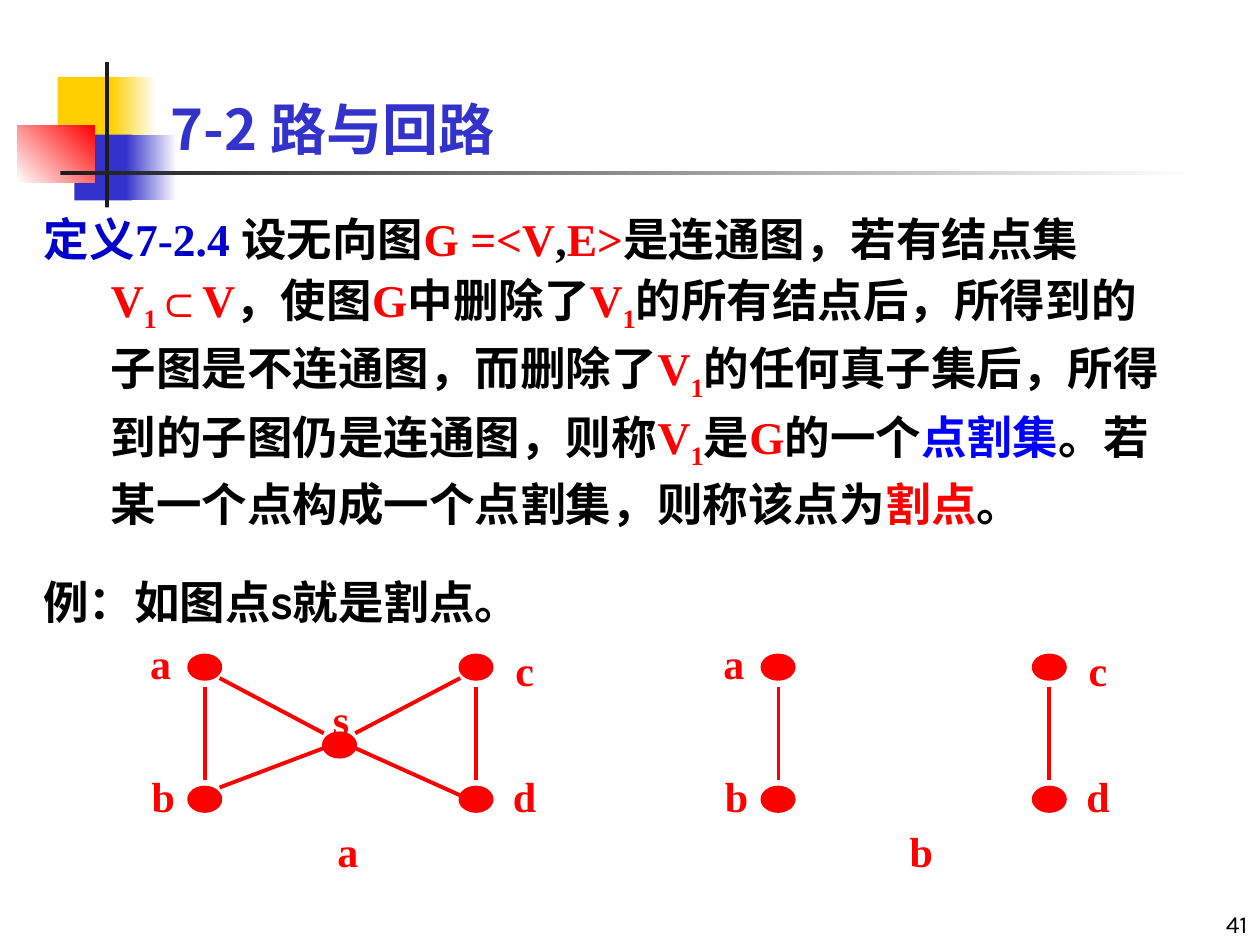
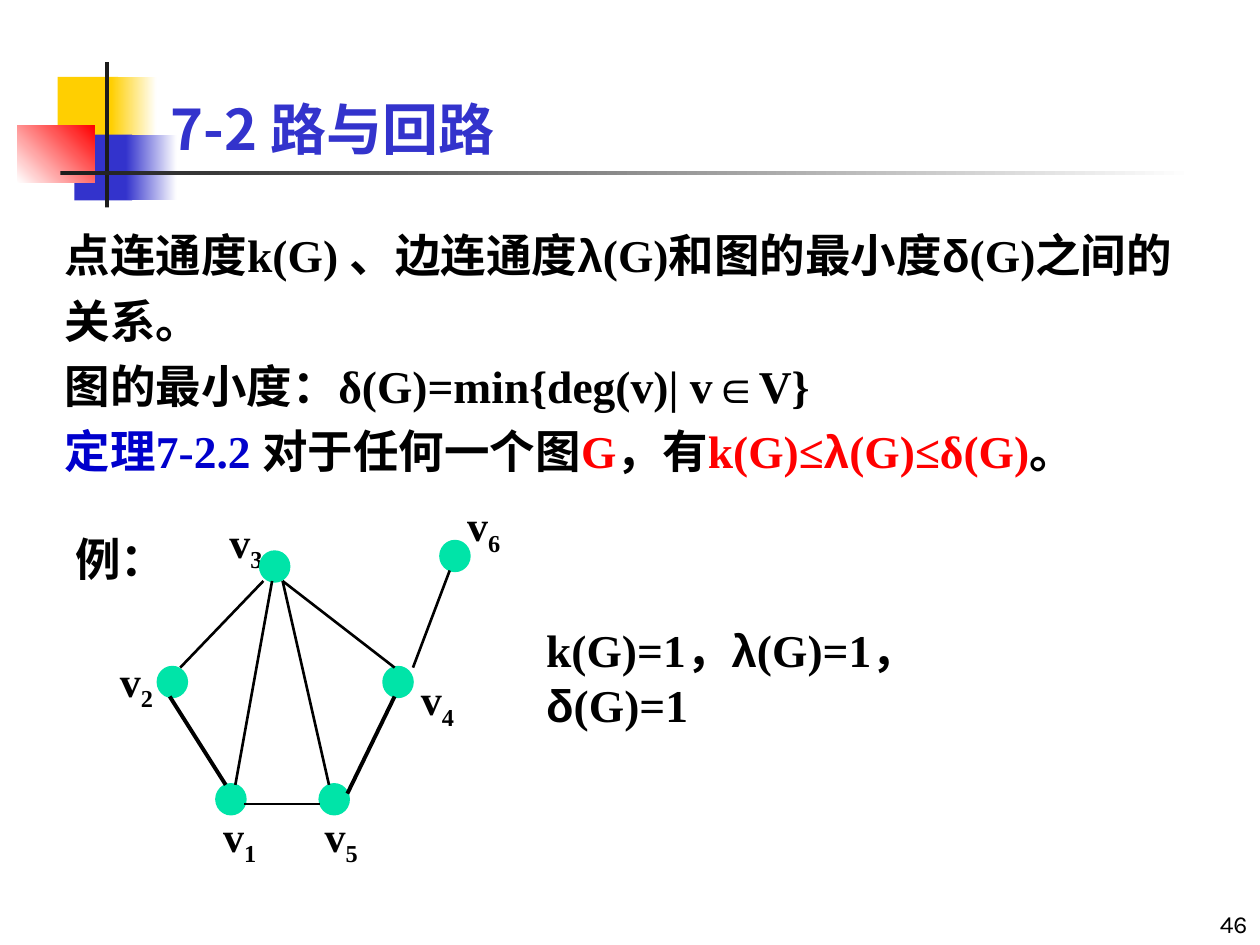
from dataclasses import dataclass
from typing import Optional

from lxml.etree import SubElement
from pptx import Presentation
from pptx.dml.color import RGBColor
from pptx.enum.shapes import MSO_CONNECTOR, MSO_SHAPE
from pptx.enum.text import MSO_ANCHOR as Anchor, PP_ALIGN as Align
from pptx.oxml.ns import qn
from pptx.util import Pt

# Colours
YELLOW = RGBColor(0xFF, 0xCF, 0x01)
BLUE = RGBColor(0x33, 0x33, 0xCC)
RED = RGBColor(0xFF, 0x00, 0x00)
WHITE = RGBColor(0xFF, 0xFF, 0xFF)
CHARCOAL = RGBColor(0x1C, 0x1C, 0x1C)
BLACK = RGBColor(0x00, 0x00, 0x00)
HEADING_BLUE = RGBColor(0x00, 0x00, 0xCC)
TERM_BLUE = RGBColor(0x00, 0x00, 0xFF)
GREEN = RGBColor(0x00, 0xE4, 0xA8)

# Fonts
SERIF = "Times New Roman"
SYMBOL = "Arial"
CHINESE = "Noto Sans CJK SC"
KARLA = "Karla"
QUICKSAND = "Quicksand"


@dataclass
class Part:
    """A stretch of text and what sets it apart from its paragraph."""
    text: str
    color: Optional[RGBColor] = None
    font: Optional[str] = None
    sub: bool = False


V1 = [Part("V", RED), Part("1", RED, sub=True)]
LAMBDA = Part("λ", font=SYMBOL)
DELTA = Part("δ", font=SYMBOL)


# Text
def write_paragraph(paragraph, parts, size, font, color, bold, align, spacing):
    paragraph.alignment = align
    if spacing:
        paragraph.line_spacing = spacing
    base = paragraph.font
    base.size, base.bold, base.name = Pt(size), bold, font
    base.color.rgb = color
    SubElement(base._rPr, qn("a:ea")).set("typeface", CHINESE)
    for part in parts:
        run = paragraph.add_run()
        run.text = part.text
        if part.color is not None:
            run.font.color.rgb = part.color
        if part.font:
            run.font.name = part.font
        if part.sub:
            run.font._rPr.set("baseline", "-25000")


def add_text(slide, box, paragraphs, size=26, font=SERIF, color=BLACK, bold=True,
             align=Align.LEFT, anchor=Anchor.TOP, spacing=None, wrap=True):
    """Place text; paragraphs is one string or a list of lists of parts."""
    if isinstance(paragraphs, str):
        paragraphs = [[Part(paragraphs)]]
    frame = slide.shapes.add_textbox(*map(Pt, box)).text_frame
    frame.word_wrap = wrap
    frame.vertical_anchor = anchor
    for index, parts in enumerate(paragraphs):
        paragraph = frame.add_paragraph() if index else frame.paragraphs[0]
        write_paragraph(paragraph, parts, size, font, color, bold, align, spacing)
    return frame


# Shapes
def add_block(slide, box, start, end=None, angle=0):
    """Draw a rectangle, plain or fading from start to end."""
    block = slide.shapes.add_shape(MSO_SHAPE.RECTANGLE, *map(Pt, box))
    block.shadow.inherit = False
    block.line.fill.background()
    if end is None:
        block.fill.solid()
        block.fill.fore_color.rgb = start
        return
    block.fill.gradient()
    block.fill.gradient_angle = angle
    for stop, color in zip(block.fill.gradient_stops, (start, end)):
        stop.color.rgb = color


def add_node(slide, left, top, size, color):
    node = slide.shapes.add_shape(MSO_SHAPE.OVAL, Pt(left), Pt(top), *map(Pt, size))
    node.shadow.inherit = False
    node.fill.solid()
    node.fill.fore_color.rgb = color
    node.line.color.rgb = color
    node.line.width = Pt(2)


def add_edge(slide, ends, color, width):
    edge = slide.shapes.add_connector(MSO_CONNECTOR.STRAIGHT, *map(Pt, ends))
    edge.line.color.rgb = color
    edge.line.width = Pt(width)
    SubElement(edge._element.spPr, qn("a:effectLst"))


def add_label(slide, left, top, parts, color, size=(39.6, 36)):
    add_text(slide, (left, top, *size), [parts], 24, color=color, align=Align.CENTER)


# What the slides share
def add_base(deck, number):
    slide = deck.slides.add_slide(deck.slide_layouts[6])
    add_block(slide, (33, 44, 34.5, 37.5), YELLOW)
    add_block(slide, (63.5, 44, 26, 37.5), YELLOW, WHITE)
    add_block(slide, (42.5, 77, 33, 37.5), BLUE)
    add_block(slide, (72, 77, 29, 37.5), BLUE, WHITE)
    add_block(slide, (10, 71.5, 44, 33), WHITE, RED, 45)
    add_block(slide, (60, 35.5, 2.25, 83), CHARCOAL)
    add_block(slide, (34.5, 98, 648, 2.25), CHARCOAL, WHITE)
    add_text(slide, (570, 504, 150, 36), str(number), 14, KARLA, bold=False,
             align=Align.RIGHT, anchor=Anchor.BOTTOM)
    add_text(slide, (90.5, 6, 613.5, 90), "7-2 路与回路", 32, CHINESE, BLUE,
             anchor=Anchor.BOTTOM)
    return slide


# Cut vertex slide
def add_cut_graph(slide, offset, caption, with_s):
    """Draw the four corners and, if asked, the cut vertex s joining them."""
    left, right, top, bottom = 108, 263, 374.5, 450
    node_size = (18, 13.5)
    corners = [(x + offset, y) for x in (left, right) for y in (top, bottom)]
    labels = [("a", 72, 361), ("b", 73.5, 437), ("c", 280, 365), ("d", 280, 437),
              (caption, 179, 468)]
    edges = [(x, 392.5, x, 445.5) for x in (117.25, 272)]
    if with_s:
        labels.insert(0, ("s", 175, 392.5))
        corners.append((185, 419))
        edges += [(125.5, 387.5, 185, 419), (203, 427.5, 263, 454.5),
                  (125.5, 450, 185, 427.5), (203, 419, 263, 387.5)]
    for name, x, y in labels:
        add_label(slide, x + offset, y, [Part(name)], RED)
    for x, y in corners:
        add_node(slide, x, y, node_size, RED)
    for x1, y1, x2, y2 in edges:
        add_edge(slide, (x1 + offset, y1, x2 + offset, y2), RED, 2.25)


def build_cut_vertex(deck):
    slide = add_base(deck, 41)
    definition = [
        Part("定义7-2.4 ", HEADING_BLUE), Part("设无向图"), Part("G =<V", RED),
        Part(","), Part("E>", RED), Part("是连通图，若有结点集"), *V1,
        Part("⊂", RED, SYMBOL), Part("V", RED), Part("，使图"), Part("G", RED),
        Part("中删除了"), *V1, Part("的所有结点后，所得到的子图是不连通图，而删除了"),
        *V1, Part("的任何真子集后，所得到的子图仍是连通图，则称"), *V1, Part("是"),
        Part("G", RED), Part("的一个"), Part("点割集", TERM_BLUE),
        Part("。若某一个点构成一个点割集，则称该点为"), Part("割点", RED), Part("。"),
    ]
    frame = add_text(slide, (18, 114, 660, 198), [definition], spacing=1.1)
    hanging = frame.paragraphs[0]._p.get_or_add_pPr()
    hanging.set("marL", str(Pt(38.25)))
    hanging.set("indent", str(-Pt(38.25)))

    add_cut_graph(slide, 0, "a", True)
    add_cut_graph(slide, 327.6, "b", False)
    add_text(slide, (17.5, 324.5, 300, 39), "例：如图点s就是割点。", font=QUICKSAND,
             wrap=False)


# Connectivity slide
def add_degree_graph(slide):
    # Vertex number: node left, node top, label left, label top
    vertices = {
        3: (149, 315.5, 122.5, 291.5),
        2: (90.5, 381.5, 60, 371),
        1: (124, 448.5, 119, 459.5),
        6: (252, 309.5, 258.5, 282),
        4: (219.5, 381.5, 232, 381.5),
        5: (183, 448.5, 177, 459.5),
    }
    thin_edges = [
        (150.5, 332, 103, 381.5), (139.5, 459.5, 183, 459.5),
        (236, 381.5, 257, 326), (161.5, 332, 225.5, 381.5),
        (155.5, 332, 134.5, 448.5), (161.5, 332, 188, 448.5),
    ]
    thick_edges = [(97, 398, 129, 448.5), (198.5, 453.5, 225.5, 398)]
    for number, (x, y, label_x, label_y) in vertices.items():
        name = [Part("v"), Part(str(number), sub=True)]
        add_label(slide, label_x, label_y, name, BLACK, (36, 40))
        add_node(slide, x, y, (16, 16.5), GREEN)
    for edges, width in ((thin_edges, 1.5), (thick_edges, 2.25)):
        for ends in edges:
            add_edge(slide, ends, BLACK, width)


def build_connectivity(deck):
    slide = add_base(deck, 46)
    relations = [
        [Part("点连通度k(G) 、边连通度"), LAMBDA, Part("(G)和图的最小度"), DELTA,
         Part("(G)之间的关系。")],
        [Part("图的最小度：δ(G)=min{deg(v)| v"), Part("∈", font=SYMBOL), Part("V}")],
        [Part("定理7-2.2 ", HEADING_BLUE), Part("对于任何一个图"), Part("G", RED),
         Part("，有"), Part("k(G)≤", RED), Part("λ", RED, SYMBOL),
         Part("(G)≤δ(G)", RED), Part("。")],
    ]
    add_text(slide, (30, 120, 648, 174), relations, spacing=1.2)
    add_degree_graph(slide)
    add_text(slide, (36, 300, 84, 39), "例：", font=KARLA)
    values = [Part("k(G)=1，"), LAMBDA, Part("(G)=1，"), DELTA, Part("(G)=1")]
    frame = add_text(slide, (305, 352, 329, 39), [values])
    frame.margin_right = Pt(40)


def main():
    deck = Presentation()
    deck.slide_width, deck.slide_height = Pt(720), Pt(540)
    build_cut_vertex(deck)
    build_connectivity(deck)
    deck.save("out.pptx")


if __name__ == "__main__":
    main()
